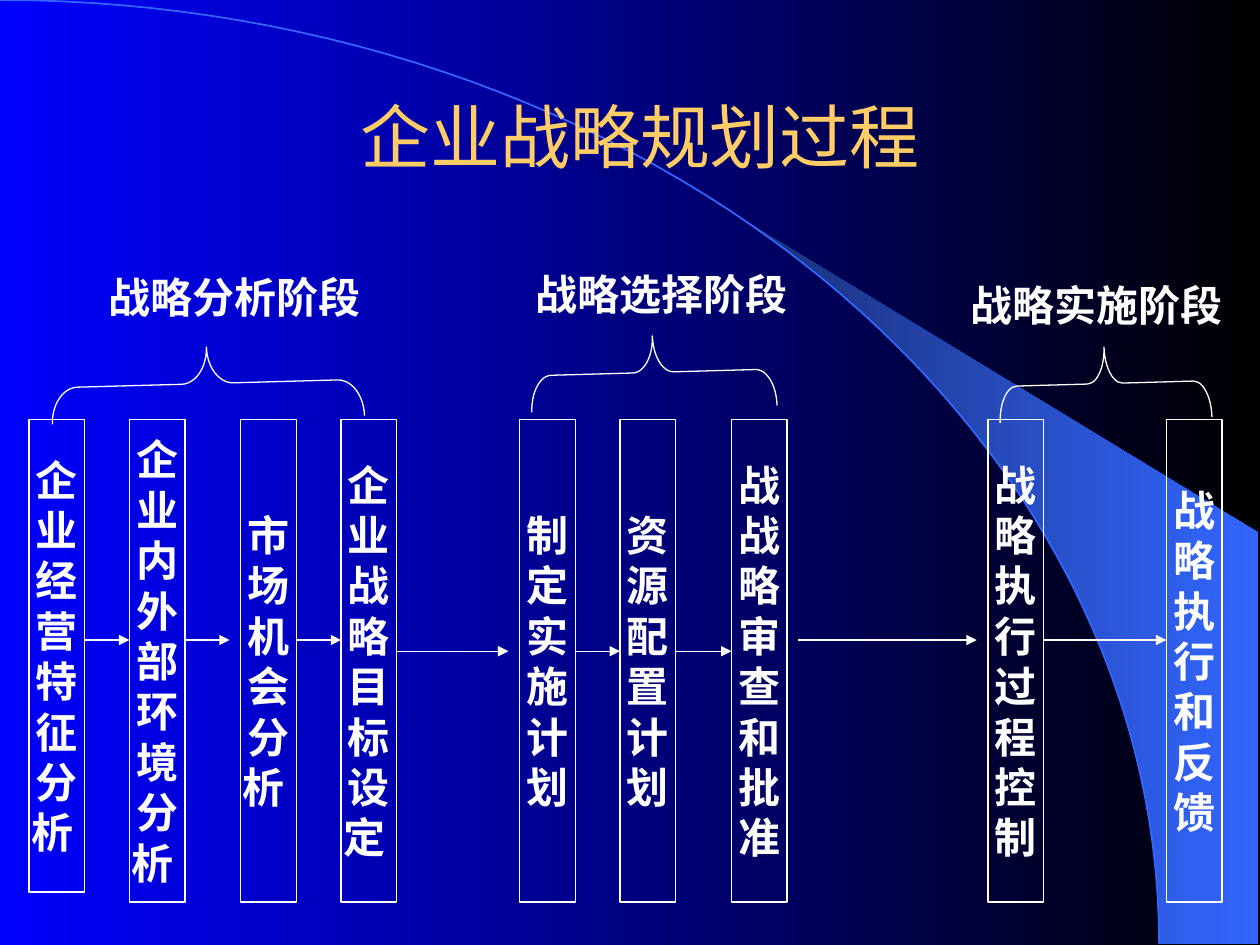
from math import asin, cos, pi, sin

from lxml import etree
from pptx import Presentation
from pptx.dml.color import RGBColor
from pptx.enum.shapes import MSO_CONNECTOR, MSO_SHAPE
from pptx.enum.text import MSO_ANCHOR, MSO_AUTO_SIZE, PP_ALIGN
from pptx.oxml.ns import qn
from pptx.util import Inches, Pt

STRAIGHT = MSO_CONNECTOR.STRAIGHT
RECTANGLE, BRACE = MSO_SHAPE.RECTANGLE, MSO_SHAPE.LEFT_BRACE
LEFT, CENTER = PP_ALIGN.LEFT, PP_ALIGN.CENTER
MIDDLE = MSO_ANCHOR.MIDDLE

WHITE = RGBColor(0xFF, 0xFF, 0xFF)
BLACK = RGBColor(0x00, 0x00, 0x00)
BLUE = RGBColor(0x00, 0x00, 0xFF)
SKY = RGBColor(0x33, 0x66, 0xFF)
NAVY = RGBColor(0x18, 0x2F, 0x76)
GOLD = RGBColor(0xFF, 0xCC, 0x66)

FONT = "Noto Sans CJK SC"
TITLE_FORMAT = {"name": FONT, "size": Pt(40), "bold": False}
TEXT_FORMAT = {"name": FONT, "size": Pt(24), "bold": True}

deck = Presentation()
deck.slide_width, deck.slide_height = Inches(10), Inches(7.5)
UNIT = deck.slide_width / 113  # square grid: 113 columns across the slide


def grid(*cells):
    return [round(cell * UNIT) for cell in cells]


def write_line(para, text, text_format, color, align):
    para.alignment = align
    span = para.add_run()
    span.text = text
    for name, value in text_format.items():
        setattr(span.font, name, value)
    span.font.color.rgb = color
    east_asian = etree.SubElement(span.font._element, qn("a:ea"))
    east_asian.set("typeface", FONT)


page = deck.slides.add_slide(deck.slide_layouts[5])
shapes = page.shapes

# Backdrop: a quarter ellipse with a bright wedge along its lower half
ARC_WIDTH, ARC_HEIGHT = Inches(9.2), Inches(7.49)
STEPS = 60
wedge_start = asin(5.89 / 9.2)
curves = []
for start in (0, wedge_start):
    angles = [start + (pi / 2 - start) * step / STEPS for step in range(STEPS + 1)]
    curves.append([(round(ARC_WIDTH * sin(a)), round(ARC_HEIGHT * (1 - cos(a))))
                   for a in angles])
arc_points, wedge_points = curves
wedge_points += [(Inches(9.99), Inches(7.49)), (Inches(9.99), Inches(4.23))]

outlines = []
for points, closed in ((wedge_points, True), (arc_points, False)):
    builder = shapes.build_freeform(*points[0])
    builder.add_line_segments(points[1:], close=closed)
    outline = builder.convert_to_shape()
    outline.shadow.inherit = False
    outlines.append(outline)
wedge, arc = outlines
wedge.line.fill.background()
arc.fill.background()
arc.line.color.rgb = SKY
arc.line.width = Pt(1)

for fill, colors in ((page.background.fill, (BLUE, BLACK)), (wedge.fill, (NAVY, SKY))):
    fill.gradient()
    fill.gradient_angle = 0
    for stop, color in zip(fill.gradient_stops, colors):
        stop.color.rgb = color

# Title, in front of the backdrop
title = shapes.title
arc.element.addnext(title.element)
title.left, title.top = Inches(0.83), Inches(0.76)
title.width, title.height = Inches(8.5), Inches(0.63)
title.text_frame.auto_size = MSO_AUTO_SIZE.NONE
title.text_frame.vertical_anchor = MIDDLE
write_line(title.text_frame.paragraphs[0], "企业战略规划过程", TITLE_FORMAT, GOLD, CENTER)

# Steps: column, height, and one character a line
BOX_TOP, BOX_WIDTH, BOX_HEIGHT = 37.6, 5, 43.3
STEP_BOXES = [
    (0, 42.4, "企业经营特征分析 "),
    (9, BOX_HEIGHT, "企业内外部环境分析 "),
    (19, BOX_HEIGHT, "市场机会分析 "),
    (28, BOX_HEIGHT, "企业战略目标设定 "),
    (44, BOX_HEIGHT, "制定实施计划"),
    (53, BOX_HEIGHT, "资源配置计划"),
    (63, BOX_HEIGHT, "战战略审查和批准"),
    (86, BOX_HEIGHT, "战略执行过程控制"),
    (102, BOX_HEIGHT, "战略执行和反馈"),
]
MARGIN = 2.6
for column, height, text in STEP_BOXES:
    box = shapes.add_shape(RECTANGLE, *grid(MARGIN + column, BOX_TOP, BOX_WIDTH, height))
    box.shadow.inherit = False
    box.fill.background()
    box.line.color.rgb = WHITE
    box.line.width = Pt(0.75)
    frame = box.text_frame
    frame.word_wrap = False
    frame.vertical_anchor = MIDDLE
    lines = list(text.strip())
    lines[-1] += text[len(lines):]  # a trailing space stays with the last character
    for index, line in enumerate(lines):
        para = frame.add_paragraph() if index else frame.paragraphs[0]
        para.line_spacing = Pt(28.8)
        write_line(para, line, TEXT_FORMAT, WHITE, CENTER)

# Arrows: start column, end column, row
HIGH, LOW = 57.4, 58.4
ARROWS = [
    (5, 9, HIGH), (14, 18, HIGH), (24, 28, HIGH), (33, 43, LOW), (49, 53, LOW),
    (58, 63, LOW), (69, 85, HIGH), (91, 102, HIGH),
]
for start, end, row in ARROWS:
    arrow = shapes.add_connector(STRAIGHT, *grid(MARGIN + start, row, MARGIN + end, row))
    arrow.line.color.rgb = WHITE
    arrow.line.width = Pt(0.75)
    etree.SubElement(arrow.line._get_or_add_ln(), qn("a:tailEnd")).set("type", "triangle")
    etree.SubElement(arrow.element.spPr, qn("a:effectLst"))

# Phases: label, its left and top, then centre and span of the brace
BRACE_DEPTH = 6.55
PHASES = [
    ("战略分析阶段", 8.6, 23.8, 18.6, 34.4, 28),
    ("战略选择阶段", 46.9, 23.5, 58.6, 33.4, 22),
    ("战略实施阶段", 85.9, 24.5, 99.1, 34.4, 19),
]
for text, left, top, center_x, center_y, span_length in PHASES:
    brace = shapes.add_shape(BRACE, *grid(center_x - BRACE_DEPTH / 2,
                                          center_y - span_length / 2,
                                          BRACE_DEPTH, span_length))
    brace.rotation = 88.4
    brace.adjustments[0] = span_length / 12 / BRACE_DEPTH
    brace.shadow.inherit = False
    brace.fill.background()
    brace.line.color.rgb = WHITE
    brace.line.width = Pt(0.75)

    label = shapes.add_textbox(*grid(left, top, 25.6, 5.65))
    label.text_frame.word_wrap = True
    para = label.text_frame.paragraphs[0]
    para.line_spacing = Pt(28.8)
    write_line(para, text, TEXT_FORMAT, WHITE, LEFT)

deck.save("out.pptx")
